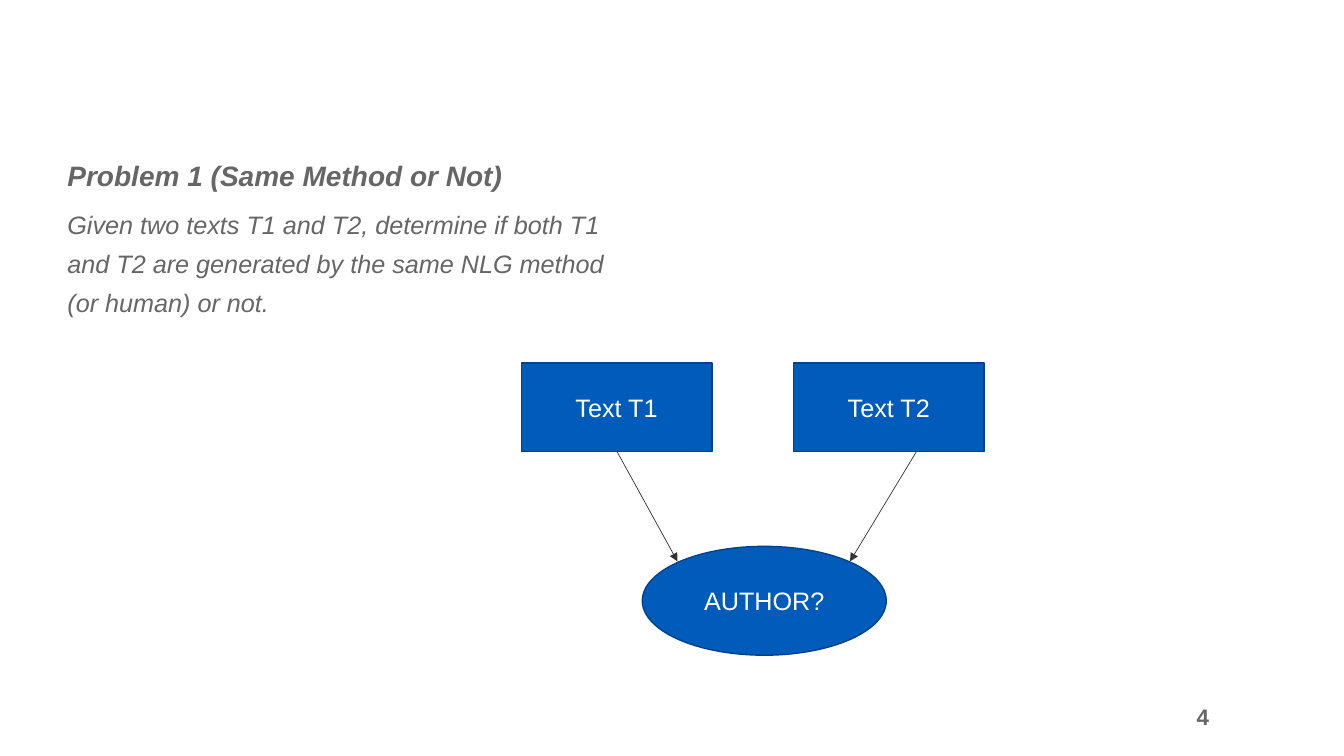
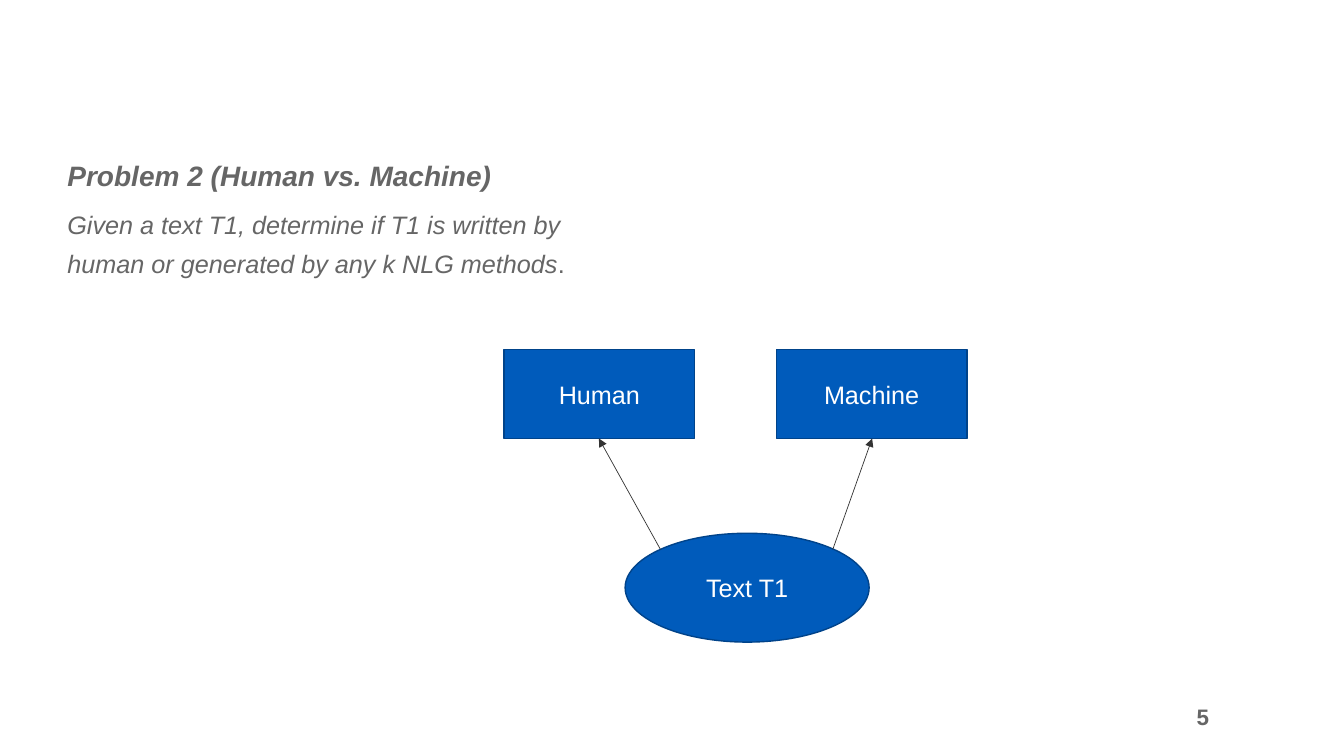
from pptx import Presentation
from pptx.dml.color import RGBColor
from pptx.enum.shapes import MSO_CONNECTOR, MSO_SHAPE
from pptx.enum.text import MSO_ANCHOR, PP_ALIGN
from pptx.oxml.ns import qn
from pptx.util import Inches, Pt
from lxml import etree

COLORS = {"text": "666666", "fill": "005BBB", "outline": "00438A",
          "arrow": "333333", "light": "FFFFFF"}
FORMATS = {
    "heading": {"size": Pt(20), "bold": True, "italic": True},
    "body": {"size": Pt(18), "bold": False, "italic": True},
    "plain": {"size": Pt(18), "bold": False, "italic": False},
    "number": {"size": Pt(16), "bold": True, "italic": False},
}
BOX_WIDTH, BOX_HEIGHT, BOX_STEP = 1.89, 0.88, 2.7
ELLIPSE_LEFT, ELLIPSE_TOP = 1.2, 1.82  # measured from the first box

# Arrow points are measured from the top left corner of the first box
SLIDES = [
    {"number": "4", "origin": (5.17, 3.6),
     "paragraphs": [
         [("Problem 1 (Same Method or Not)", "heading")],
         [("Given two texts T1 and T2, determine if both T1 and T2 are "
           "generated by the same NLG method (or human) or not.", "body")]],
     "boxes": ["Text T1", "Text T2"], "ellipse": "AUTHOR?",
     "arrows": [((0.95, 0.88), (1.55, 1.97)), ((3.92, 0.88), (3.26, 1.97))]},
    {"number": "5", "origin": (5, 3.47),
     "paragraphs": [
         [("Problem 2 (Human vs. Machine)", "heading")],
         [("Given a text T1, determine if T1 is written by human or "
           "generated by any k NLG methods", "body"), (".", "plain")]],
     "boxes": ["Human", "Machine"], "ellipse": "Text T1",
     "arrows": [((1.55, 1.98), (0.94, 0.88)), ((3.26, 1.98), (3.65, 0.88))]},
]


def add_run(paragraph, text, style, color="text"):
    font_run = paragraph.add_run()
    font_run.text = text
    font_run.font.name = "Arial"
    font_run.font.color.rgb = RGBColor.from_string(COLORS[color])
    for name, value in FORMATS[style].items():
        setattr(font_run.font, name, value)


def add_node(slide, kind, left, top, width, height, label):
    shape = slide.shapes.add_shape(
        kind, Inches(left), Inches(top), Inches(width), Inches(height))
    shape.shadow.inherit = False
    shape.fill.solid()
    shape.fill.fore_color.rgb = RGBColor.from_string(COLORS["fill"])
    shape.line.color.rgb = RGBColor.from_string(COLORS["outline"])
    shape.line.width = Pt(1)
    shape.text_frame.vertical_anchor = MSO_ANCHOR.MIDDLE
    paragraph = shape.text_frame.paragraphs[0]
    paragraph.alignment = PP_ALIGN.CENTER
    add_run(paragraph, label, "plain", "light")


presentation = Presentation()
presentation.slide_width = Inches(13.33)
presentation.slide_height = Inches(7.5)

for content in SLIDES:
    slide = presentation.slides.add_slide(presentation.slide_layouts[6])
    left, top = content["origin"]

    # Slide number
    number_box = slide.shapes.add_textbox(
        Inches(7.59), Inches(6.91), Inches(4.5), Inches(0.4))
    number_box.text_frame.word_wrap = True
    number_box.text_frame.vertical_anchor = MSO_ANCHOR.MIDDLE
    paragraph = number_box.text_frame.paragraphs[0]
    paragraph.alignment = PP_ALIGN.RIGHT
    add_run(paragraph, content["number"], "number")

    # Problem statement
    problem_box = slide.shapes.add_textbox(
        Inches(0.57), Inches(1.42), Inches(5.62), Inches(3.87))
    text_frame = problem_box.text_frame
    text_frame.word_wrap = True
    for index, runs in enumerate(content["paragraphs"]):
        paragraph = text_frame.add_paragraph() if index else text_frame.paragraphs[0]
        paragraph.line_spacing = 1.3
        paragraph.space_before = Pt(6)
        for text, style in runs:
            add_run(paragraph, text, style)

    # Diagram nodes
    for index, label in enumerate(content["boxes"]):
        add_node(slide, MSO_SHAPE.RECTANGLE, left + index * BOX_STEP, top,
                 BOX_WIDTH, BOX_HEIGHT, label)
    add_node(slide, MSO_SHAPE.OVAL, left + ELLIPSE_LEFT, top + ELLIPSE_TOP,
             2.42, 1.08, content["ellipse"])

    # Arrows
    for (start_x, start_y), (end_x, end_y) in content["arrows"]:
        arrow = slide.shapes.add_connector(
            MSO_CONNECTOR.STRAIGHT,
            Inches(left + start_x), Inches(top + start_y),
            Inches(left + end_x), Inches(top + end_y))
        arrow.line.color.rgb = RGBColor.from_string(COLORS["arrow"])
        arrow.line.width = Pt(0.5)
        etree.SubElement(arrow.line._get_or_add_ln(), qn("a:tailEnd"), type="triangle")
        etree.SubElement(arrow._element.spPr, qn("a:effectLst"))

presentation.save("out.pptx")
